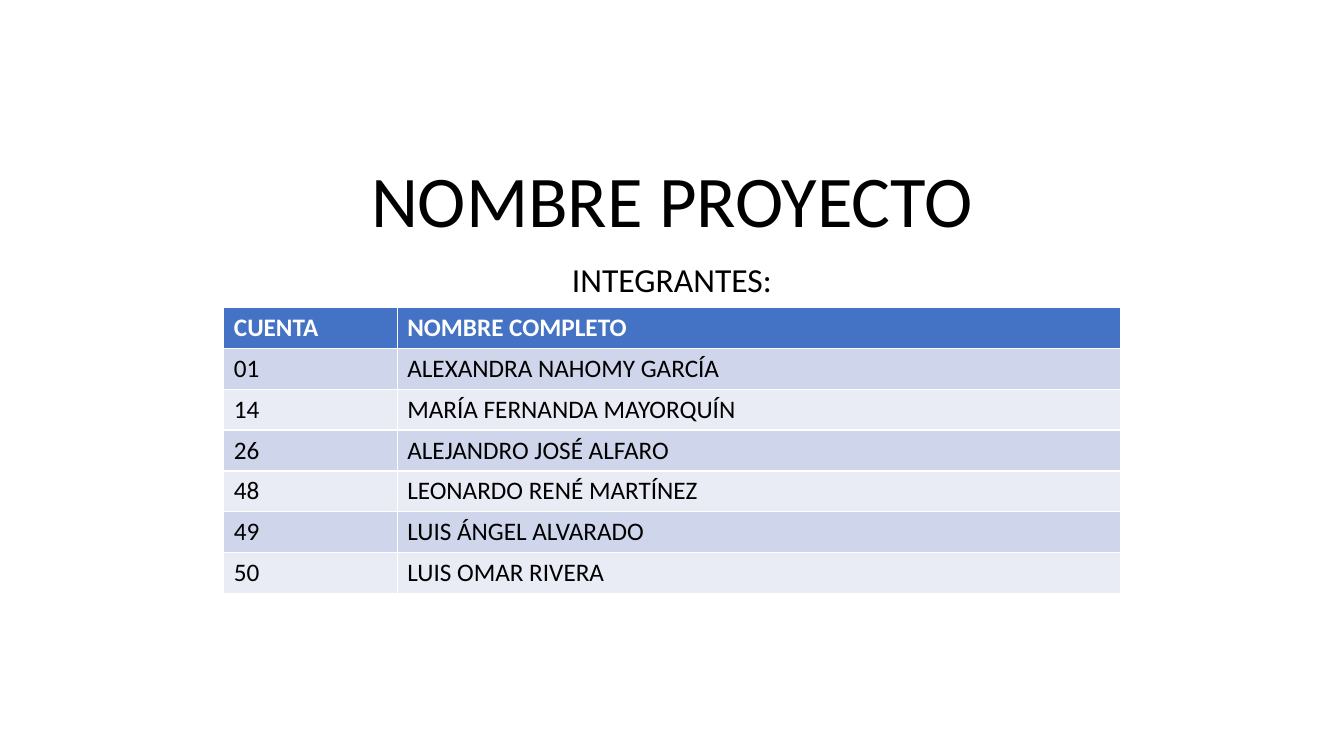
import pptx
import pptx.util
import pptx.dml.color
import pptx.enum.text
from dataclasses import dataclass

Inches = pptx.util.Inches

TITLE = "NOMBRE PROYECTO"
SUBTITLE = "INTEGRANTES:"
HEADER = ("CUENTA", "NOMBRE COMPLETO")
MEMBERS = [
    ("01", "ALEXANDRA NAHOMY GARCÍA"),
    ("14", "MARÍA FERNANDA MAYORQUÍN"),
    ("26", "ALEJANDRO JOSÉ ALFARO"),
    ("48", "LEONARDO RENÉ MARTÍNEZ"),
    ("49", "LUIS ÁNGEL ALVARADO"),
    ("50", "LUIS OMAR RIVERA"),
]

SLIDE_W, SLIDE_H = 13.33, 7.5
HEADING_W = 10
COLUMN_WIDTHS = (1.72, 7.17)
TABLE_TOP, TABLE_H = 3.05, 2.84


@dataclass(frozen=True)
class Theme:
    font: str = "Calibri"
    title_size: int = 52
    subtitle_size: int = 24
    table_size: int = 18
    text: str = "000000"
    header_text: str = "FFFFFF"
    header_fill: str = "4472C4"
    bands: tuple = ("CFD5EA", "E9EBF5")


THEME = Theme()


def rgb(value):
    return pptx.dml.color.RGBColor.from_string(value)


def add_run(p, text, size, color=THEME.text, bold=False):
    r = p.add_run()
    r.text = text
    r.font.name = THEME.font
    r.font.size = pptx.util.Pt(size)
    r.font.bold = bold
    r.font.color.rgb = rgb(color)


def centered_left(width):
    return Inches((SLIDE_W - width) / 2)


def fill_heading(sp, text, size, anchor):
    tf = sp.text_frame
    tf.word_wrap = True
    tf.auto_size = pptx.enum.text.MSO_AUTO_SIZE.NONE
    tf.vertical_anchor = anchor
    p = tf.paragraphs[0]
    p.alignment = pptx.enum.text.PP_ALIGN.CENTER
    p.line_spacing = 0.9
    add_run(p, text, size)


def add_headings(s):
    anchors = pptx.enum.text.MSO_ANCHOR
    left, width = centered_left(HEADING_W), Inches(HEADING_W)
    title = s.shapes.title
    title.left, title.top = left, Inches(-0.15)
    title.width, title.height = width, Inches(2.61)
    fill_heading(title, TITLE, THEME.title_size, anchors.BOTTOM)
    subtitle = s.shapes.add_textbox(left, Inches(2.56), width, Inches(0.49))
    fill_heading(subtitle, SUBTITLE, THEME.subtitle_size, anchors.TOP)


def add_members_table(s):
    rows = [HEADER] + MEMBERS
    width = sum(COLUMN_WIDTHS)
    table = s.shapes.add_table(
        len(rows), len(HEADER), centered_left(width), Inches(TABLE_TOP),
        Inches(width), Inches(TABLE_H)).table
    for column, column_width in zip(table.columns, COLUMN_WIDTHS):
        column.width = Inches(column_width)
    for i, row in enumerate(rows):
        is_header = i == 0
        fill = THEME.header_fill if is_header else THEME.bands[(i - 1) % 2]
        color = THEME.header_text if is_header else THEME.text
        for j, text in enumerate(row):
            cell = table.cell(i, j)
            cell.fill.solid()
            cell.fill.fore_color.rgb = rgb(fill)
            add_run(cell.text_frame.paragraphs[0], text, THEME.table_size,
                    color, is_header)


def main():
    prs = pptx.Presentation()
    prs.slide_width, prs.slide_height = Inches(SLIDE_W), Inches(SLIDE_H)
    s = prs.slides.add_slide(prs.slide_layouts.get_by_name("Title Only"))
    add_headings(s)
    add_members_table(s)
    prs.save("out.pptx")


if __name__ == "__main__":
    main()
